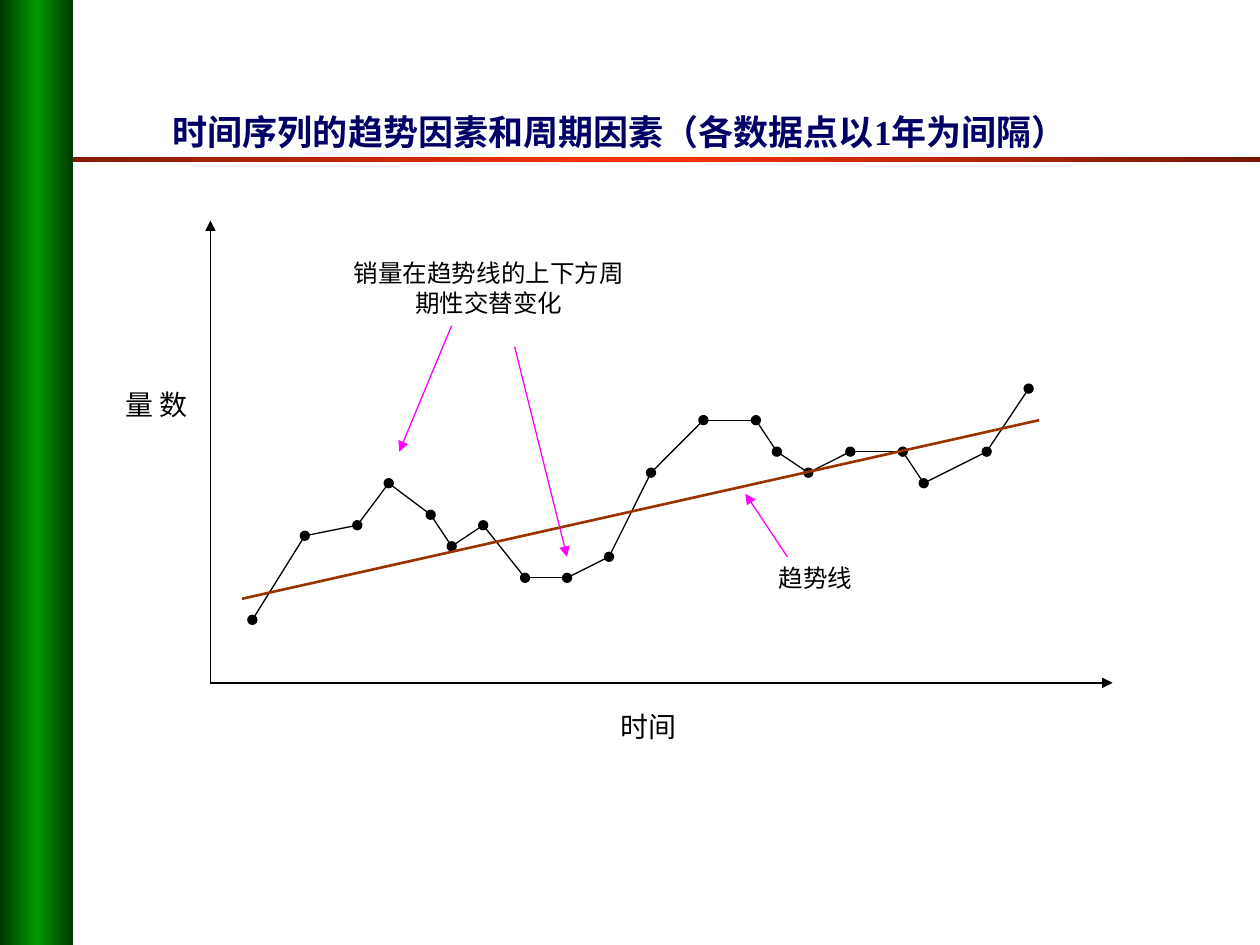
from copy import deepcopy
from itertools import pairwise

from lxml.etree import SubElement
from pptx import Presentation
from pptx.dml.color import RGBColor
from pptx.enum.shapes import MSO_CONNECTOR, MSO_SHAPE
from pptx.enum.text import MSO_ANCHOR, MSO_AUTO_SIZE, PP_ALIGN
from pptx.oxml.ns import qn
from pptx.util import Inches, Pt

BLACK = RGBColor(0x00, 0x00, 0x00)
NAVY = RGBColor(0x00, 0x00, 0x66)
BROWN = RGBColor(0x99, 0x33, 0x00)
MAGENTA = RGBColor(0xFF, 0x00, 0xFF)
DARK_RED = RGBColor(0x75, 0x17, 0x00)
RED = RGBColor(0xFF, 0x33, 0x00)
DARK_GREEN = RGBColor(0x00, 0x3A, 0x00)
GREEN = RGBColor(0x00, 0x99, 0x00)
FONT = "Times New Roman"

X_STEPS, Y_STEPS = 86, 44
SALES = [
    (4, 6), (9, 14), (14, 15), (17, 19), (21, 16), (23, 13), (26, 15),
    (30, 10), (34, 10), (38, 12), (42, 20), (47, 25), (52, 25), (54, 22),
    (57, 20), (61, 22), (66, 22), (68, 19), (74, 22), (78, 28),
]
TREND = (3, 8), (79, 25)
POINTERS = [((23, 34), (18, 22)), ((29, 32), (34, 12)), ((55, 12), (51, 18))]


def write_text(frame, text, size=16, color=BLACK, bold=False,
               align=PP_ALIGN.LEFT, before=0):
    """Fill a text frame with one formatted paragraph."""
    frame.word_wrap = True
    paragraph = frame.paragraphs[0]
    paragraph.alignment = align
    paragraph.space_before = Pt(before)
    run = paragraph.add_run()
    run.text = text
    run.font.name = FONT
    run.font.size = Pt(size)
    run.font.bold = bold
    run.font.color.rgb = color


def add_label(slide, box, text, vertical=False, **text_format):
    """Add a text box, optionally with vertical East Asian text."""
    frame = slide.shapes.add_textbox(*map(Inches, box)).text_frame
    write_text(frame, text, **text_format)
    frame.auto_size = MSO_AUTO_SIZE.SHAPE_TO_FIT_TEXT
    if vertical:
        frame.margin_left = frame.margin_right = Inches(0.05)
        frame.margin_top = frame.margin_bottom = Inches(0.1)
        frame._txBody.bodyPr.set("vert", "eaVert")


def add_line(slide, start, end, color=BLACK, width=0.75, head=None, tail=None):
    """Draw a straight connector with optional end marks."""
    ends = map(Inches, (*start, *end))
    connector = slide.shapes.add_connector(MSO_CONNECTOR.STRAIGHT, *ends)
    connector.line.color.rgb = color
    connector.line.width = Pt(width)
    properties = connector._element.spPr
    for tag, mark in (("a:headEnd", head), ("a:tailEnd", tail)):
        if mark:
            SubElement(properties.find(qn("a:ln")), qn(tag)).set("type", mark)
    SubElement(properties, qn("a:effectLst"))


def add_gradient_bar(slide, box, edge, middle):
    """Add a bar shaded from its edges to a brighter middle."""
    bar = slide.shapes.add_shape(MSO_SHAPE.RECTANGLE, *map(Inches, box))
    bar.shadow.inherit = False
    bar.line.fill.background()
    bar.fill.gradient()
    bar.fill.gradient_angle = 0
    stop_list = bar._element.spPr.find(".//" + qn("a:gsLst"))
    stop_list.append(deepcopy(stop_list[0]))
    shades = zip(bar.fill.gradient_stops, (0, 0.5, 1), (edge, middle, edge))
    for stop, position, color in shades:
        stop.position = position
        stop.color.rgb = color


def add_title(slide, box, text):
    """Move the title placeholder into its box and fill it."""
    title = slide.shapes.title
    title.left, title.top, title.width, title.height = map(Inches, box)
    title.text_frame.vertical_anchor = MSO_ANCHOR.MIDDLE
    write_text(title.text_frame, text, size=20, color=NAVY, bold=True,
               align=PP_ALIGN.CENTER)


def add_trend_diagram(slide, left, top, width, height):
    """Draw axes, sales path, trend line and notes in the given box."""

    def place(point):
        """Convert grid steps above the origin to slide inches."""
        x, y = point
        return left + x * width / X_STEPS, top + height - y * height / Y_STEPS

    for axis_end in ((X_STEPS, 0), (0, Y_STEPS)):
        add_line(slide, place((0, 0)), place(axis_end), tail="triangle")
    for start, end in pairwise(SALES):
        add_line(slide, place(start), place(end), tail="oval",
                 head="oval" if start == SALES[0] else None)
    add_line(slide, *map(place, TREND), color=BROWN, width=1.5)

    add_label(slide, (left - 0.58, top + 1.25, 0.46, 0.58), "数量", vertical=True)
    add_label(slide, (left + 3.16, top + 3.83, 0.75, 0.37), "时间")
    add_label(slide, (left + 1, top + 0.25, 2.42, 0.57),
              "销量在趋势线的上下方周期性交替变化",
              size=14, align=PP_ALIGN.CENTER, before=8.8)
    add_label(slide, (left + 4.41, top + 2.67, 1.08, 0.34), "趋势线",
              size=14, before=8.8)
    for pointer in POINTERS:
        add_line(slide, *map(place, pointer), color=MAGENTA, tail="triangle")


def main():
    """Build and save the slide."""
    deck = Presentation()
    deck.slide_width, deck.slide_height = Inches(10), Inches(7.5)
    slide = deck.slides.add_slide(deck.slide_layouts[5])
    add_gradient_bar(slide, (0.01, 1.25, 9.99, 0.04), DARK_RED, RED)
    add_gradient_bar(slide, (0, 0, 0.58, 7.5), DARK_GREEN, GREEN)
    add_title(slide, (0.67, 0.83, 8.5, 0.42),
              "时间序列的趋势因素和周期因素（各数据点以1年为间隔）")
    add_trend_diagram(slide, 1.67, 1.75, 7.16, 3.67)
    deck.save("out.pptx")


if __name__ == "__main__":
    main()
